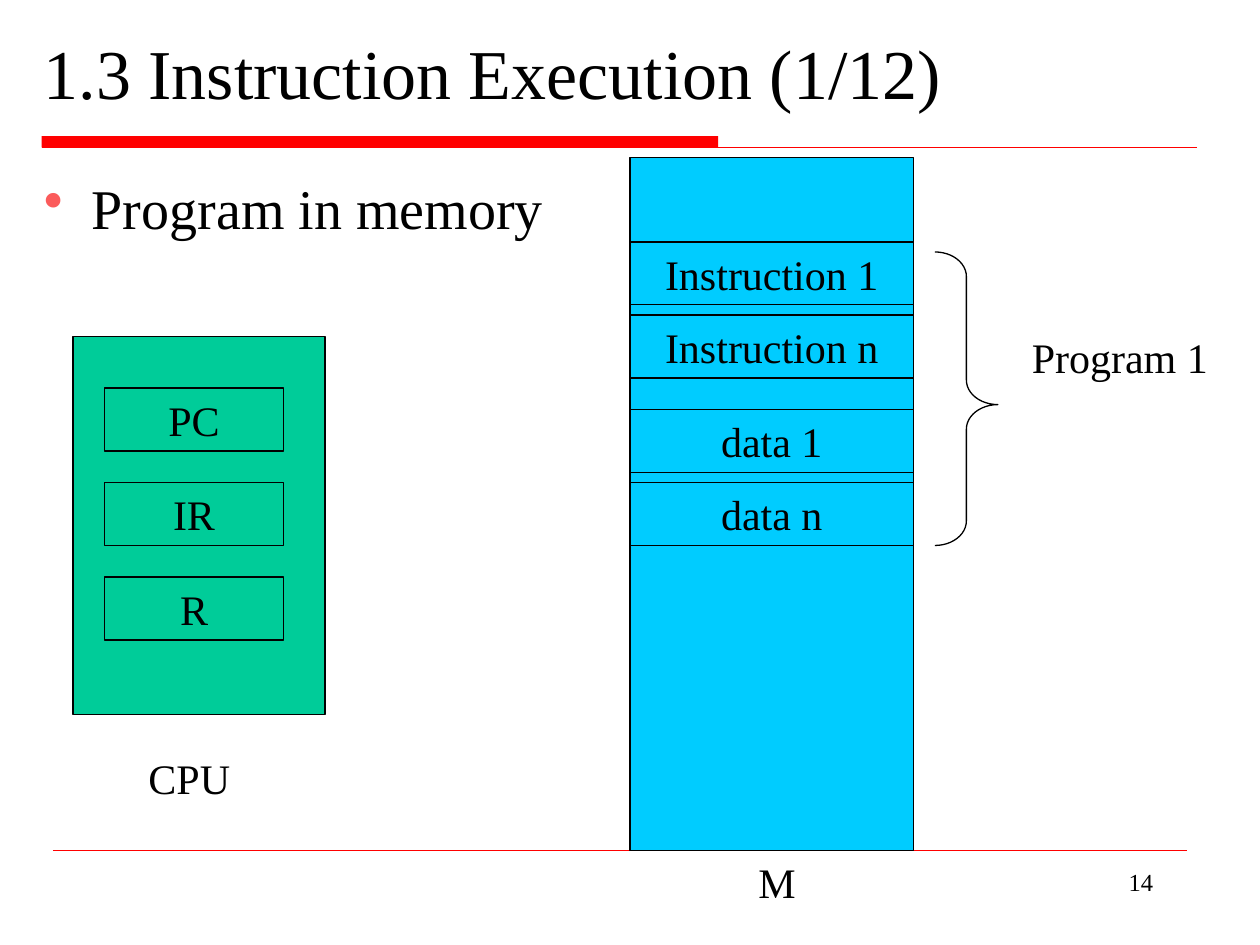
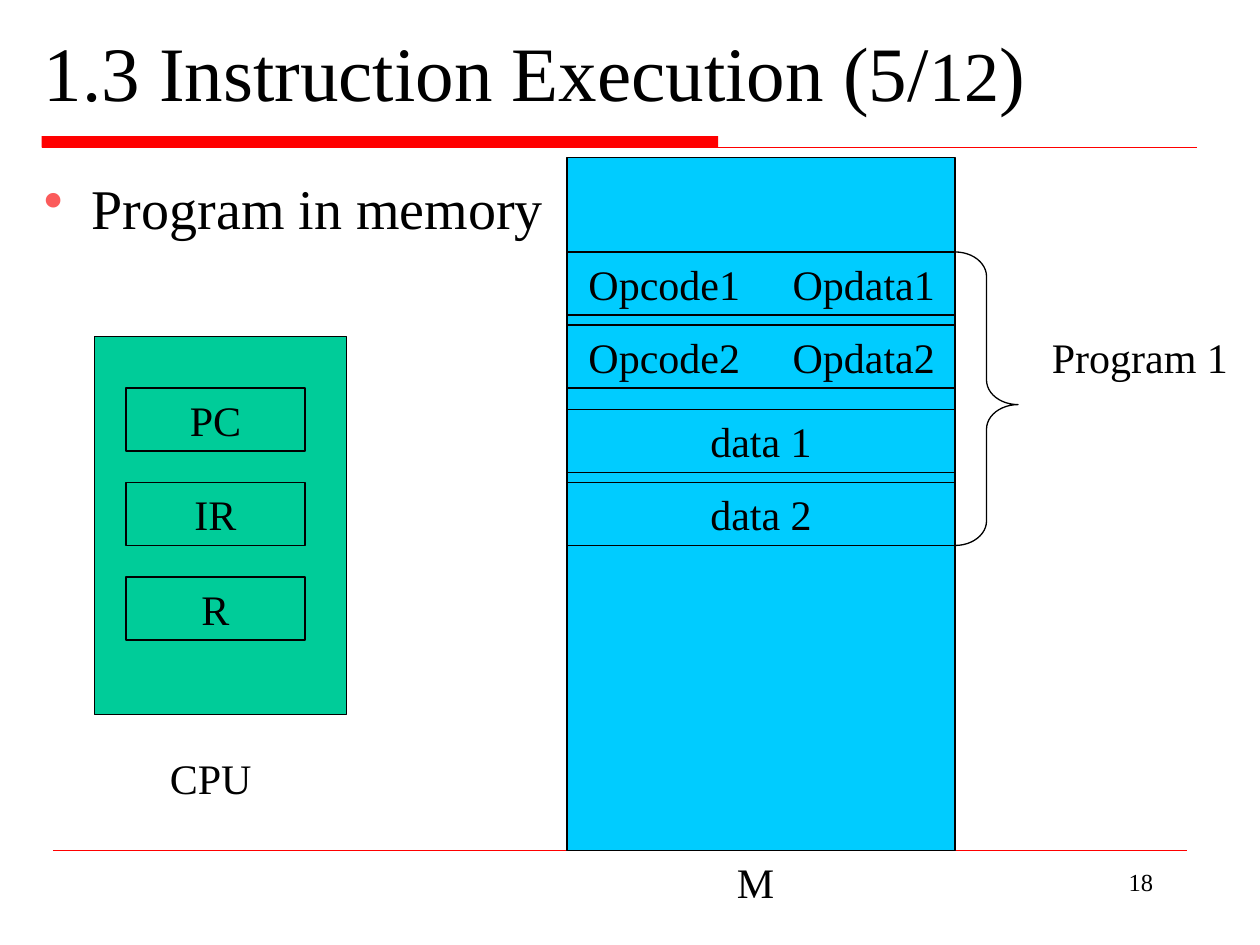
from lxml import etree
from pptx import Presentation
from pptx.dml.color import RGBColor
from pptx.enum.shapes import MSO_CONNECTOR, MSO_SHAPE
from pptx.enum.text import MSO_ANCHOR, PP_ALIGN
from pptx.oxml.ns import qn
from pptx.util import Inches, Pt

STRAIGHT = MSO_CONNECTOR.STRAIGHT
RECTANGLE, RIGHT_BRACE = MSO_SHAPE.RECTANGLE, MSO_SHAPE.RIGHT_BRACE
TOP, MIDDLE = MSO_ANCHOR.TOP, MSO_ANCHOR.MIDDLE
LEFT, CENTER, RIGHT = PP_ALIGN.LEFT, PP_ALIGN.CENTER, PP_ALIGN.RIGHT

COLORS = {"text": "000000", "rule": "FF0000", "bullet": "FB5B5B",
          "cpu": "00CC99", "memory": "00CCFF"}
FONT = "Times New Roman"
LABEL_SIZE = 24
CELL_HEIGHT = 0.5
MEMORY_TOP, MEMORY_BOTTOM = 1.25, 6.75


def color(name):
    return RGBColor.from_string(COLORS[name])


class Deck:
    """Holds the shared style and the slide being drawn."""

    def __init__(self):
        self.presentation = Presentation()
        self.presentation.slide_width = Inches(10)
        self.presentation.slide_height = Inches(7.5)
        self.slide = None

    def new_slide(self, title_parts, topic, number):
        blank = self.presentation.slide_layouts[6]
        self.slide = self.presentation.slides.add_slide(blank)
        # Title band and footer
        self.box(0.33, 1.08, 5.37, 0.09, "rule", outline=None)
        self.rule(0.33, 9.5, 1.17, 0.75)
        self.rule(0.42, 9.42, 6.75, 0.25)
        self.text(7.17, 6.83, 2.08, 0.5, [(number, 14)], align=RIGHT)
        # Title and topic
        title = self.text(0.25, 0.17, 9.33, 0.92, title_parts, anchor=MIDDLE)
        title.line_spacing = 0.8
        self.bullet(self.text(0.25, 1.33, 9.33, 5.33, [(topic, 32)]))

    def fill_text(self, frame, parts, align=LEFT, anchor=TOP):
        frame.word_wrap = True
        frame.vertical_anchor = anchor
        paragraph = frame.paragraphs[0]
        paragraph.alignment = align
        for words, size in parts:
            run = paragraph.add_run()
            run.text = words
            run.font.name = FONT
            run.font.size = Pt(size)
            run.font.color.rgb = color("text")
        return paragraph

    def text(self, left, top, width, height, parts, align=LEFT, anchor=TOP):
        area = self.slide.shapes.add_textbox(
            Inches(left), Inches(top), Inches(width), Inches(height))
        return self.fill_text(area.text_frame, parts, align, anchor)

    def label(self, left, top, width, words):
        self.text(left, top, width, 0.5, [(words, LABEL_SIZE)])

    def bullet(self, paragraph):
        properties = paragraph._p.get_or_add_pPr()
        properties.set("marL", str(Inches(0.38)))
        properties.set("indent", str(-Inches(0.38)))
        tint = etree.SubElement(properties, qn("a:buClr"))
        etree.SubElement(tint, qn("a:srgbClr"), val=COLORS["bullet"])
        etree.SubElement(properties, qn("a:buChar"), char="•")

    def box(self, left, top, width, height, fill, outline="text", kind=RECTANGLE):
        shape = self.slide.shapes.add_shape(
            kind, Inches(left), Inches(top), Inches(width), Inches(height))
        shape.shadow.inherit = False
        if fill:
            shape.fill.solid()
            shape.fill.fore_color.rgb = color(fill)
        else:
            shape.fill.background()
        if outline:
            shape.line.color.rgb = color(outline)
            shape.line.width = Pt(0.75)
        else:
            shape.line.fill.background()
        return shape

    def cell(self, left, top, width, words, fill):
        frame = self.box(left, top, width, CELL_HEIGHT, fill).text_frame
        two_fields = "\t" in words
        paragraph = self.fill_text(frame, [(words, LABEL_SIZE)],
                                   LEFT if two_fields else CENTER, MIDDLE)
        if two_fields:
            frame.margin_left = Inches(0.17)
            tabs = etree.SubElement(paragraph._p.get_or_add_pPr(), qn("a:tabLst"))
            etree.SubElement(tabs, qn("a:tab"), pos=str(Inches(1.62)), algn="l")

    def rule(self, start, end, y, weight):
        line = self.slide.shapes.add_connector(
            STRAIGHT, Inches(start), Inches(y), Inches(end), Inches(y))
        line.line.color.rgb = color("rule")
        line.line.width = Pt(weight)
        etree.SubElement(line._element.spPr, qn("a:effectLst"))

    def cpu(self, left):
        self.box(left, 2.67, 2, 3, "cpu")
        self.label(left + 0.5, 5.92, 1, "CPU")
        for index, register in enumerate(["PC", "IR", "R"]):
            self.cell(left + 0.25, 3.08 + 0.75 * index, 1.42, register, "cpu")

    def memory(self, left, width, rows, name_left):
        self.box(left, MEMORY_TOP, width, MEMORY_BOTTOM - MEMORY_TOP, "memory")
        for top, words in rows:
            self.cell(left, top, width, words, "memory")
        self.label(name_left, MEMORY_BOTTOM, 0.83, "M")

    def program(self, left):
        brace = self.box(left, 2, 0.5, 2.33, None, kind=RIGHT_BRACE)
        brace.adjustments[0] = 0.39
        brace.adjustments[1] = 0.52
        self.label(left + 0.67, 2.58, 1.75, "Program 1")


def main():
    deck = Deck()

    # Program laid out in memory
    deck.new_slide([("1.3 Instruction Execution (1/12)", 40)],
                   "Program in memory", "14")
    deck.cpu(0.58)
    deck.memory(5, 2.25, [(1.92, "Instruction 1"), (2.5, "Instruction n"),
                          (3.25, "data 1"), (3.83, "data n")], 5.92)
    deck.program(7.42)

    # Instructions split into opcode and operand
    deck.new_slide([("1.3 Instruction Execution (5/", 44), ("12", 40), (")", 44)],
                   "Program in memory", "18")
    deck.cpu(0.75)
    deck.memory(4.5, 3.08, [(2, "Opcode1\tOpdata1"), (2.58, "Opcode2\tOpdata2"),
                            (3.25, "data 1"), (3.83, "data 2")], 5.75)
    deck.program(7.58)

    deck.presentation.save("out.pptx")


if __name__ == "__main__":
    main()
